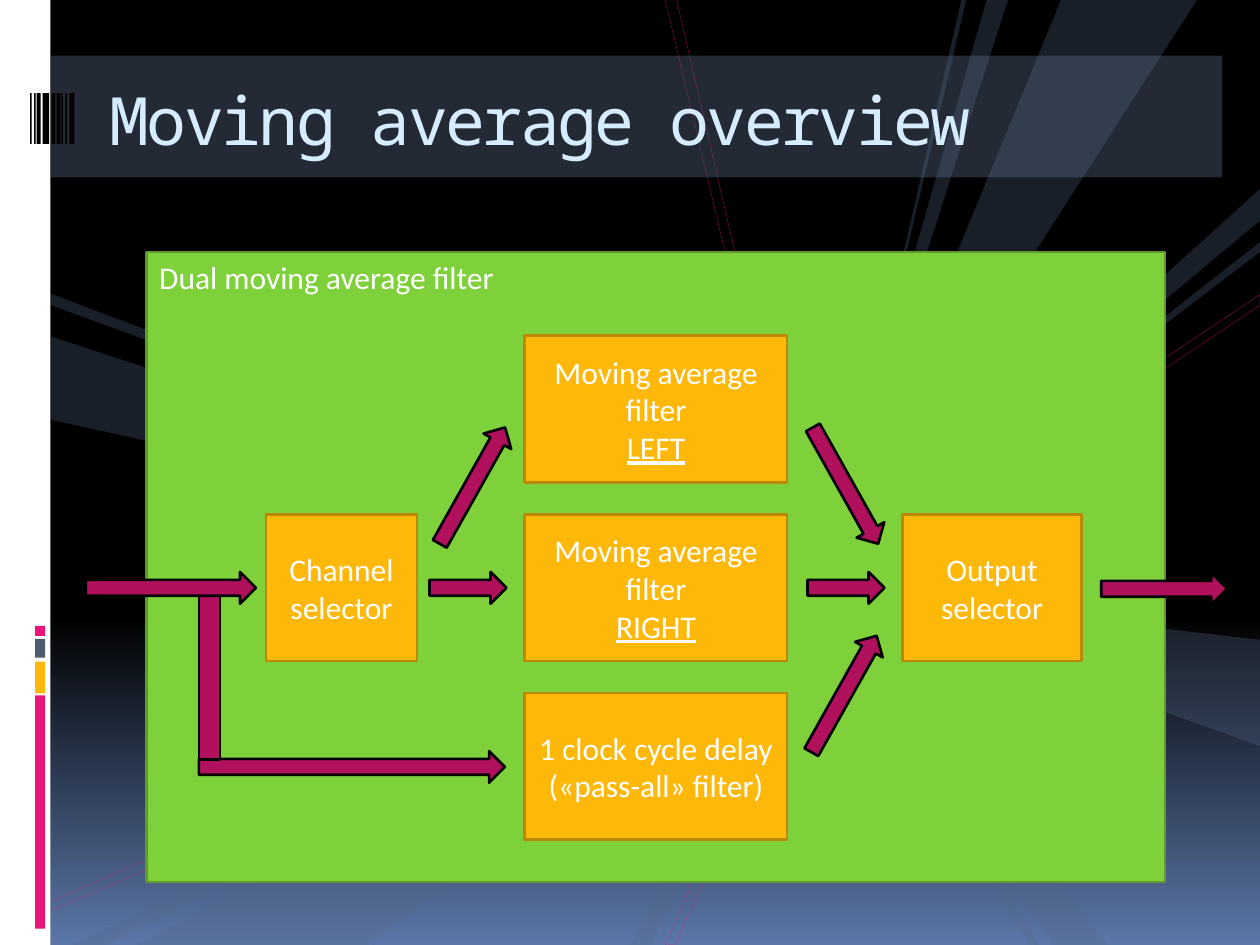
"""Build the moving average overview slide."""
import pptx
import pptx.util
import pptx.dml.color
import pptx.enum.shapes
import pptx.enum.text
import pptx.oxml
import pptx.oxml.ns

Cm, Pt = pptx.util.Cm, pptx.util.Pt
MSO = pptx.enum.shapes.MSO_SHAPE
ANCHOR = pptx.enum.text.MSO_ANCHOR
ALIGN = pptx.enum.text.PP_ALIGN
qn = pptx.oxml.ns.qn
rgb = pptx.dml.color.RGBColor.from_string


def paint(sp, fill=None, line=None, width=1.5, alpha=100):
    sp.shadow.inherit = False
    for part, color in ((sp.fill, fill), (sp.line.fill, line)):
        if color:
            part.solid()
            part.fore_color.rgb = rgb(color)
        else:
            part.background()
    if line:
        sp.line.width = Pt(width)
    if alpha < 100:
        for clr in sp._element.spPr.iter(qn("a:srgbClr")):
            clr.append(pptx.oxml.parse_xml(
                '<a:alpha xmlns:a="http://schemas.openxmlformats.org/drawingml/2006/main"'
                f' val="{alpha * 1000}"/>'))
    return sp


def write(sp, text, align, anchor, size=18, font="Calibri", color="FFFFFF"):
    tf = sp.text_frame
    tf.word_wrap = True
    tf.vertical_anchor = anchor
    tf.text = text
    for p in tf.paragraphs:
        p.alignment = align
        for r in p.runs:
            r.font.size, r.font.name = Pt(size), font
            r.font.color.rgb = rgb(color)
    return tf


prs = pptx.Presentation()
prs.slide_width, prs.slide_height = Cm(25.4), Cm(19.05)
s = prs.slides.add_slide(prs.slide_layouts[6])

bg = s.background.fill
bg.gradient()
bg.gradient_angle = 270
for stop, (pos, color) in zip(bg.gradient_stops, ((0.65, "000000"), (1, "5B77A8"))):
    stop.position = pos
    stop.color.rgb = rgb(color)

side_bars = [
    (0, 0, 1.02, 19.05, "FFFFFF"),
    (0.71, 14.02, 0.2, 4.7, "EA157A"),
    (0.71, 13.34, 0.2, 0.64, "FEB80A"),
    (0.71, 12.88, 0.2, 0.38, "4E5B6F"),
    (0.71, 12.62, 0.2, 0.2, "EA157A"),
]
for x, y, w, h, color in side_bars:
    paint(s.shapes.add_shape(MSO.RECTANGLE, Cm(x), Cm(y), Cm(w), Cm(h)), color)

beams = [
    [(13.41, 19.05), (16.56, 11.86), (25.4, 5.94), (25.4, 6.15), (16.69, 11.96), (13.61, 19.05)],
    [(1.04, 18.16), (1.04, 18.36), (16.36, 11.76), (13.64, 0), (13.41, 0), (16.18, 11.66)],
]
rays = [
    [(16.74, 11.56), (19.38, 0), (19.48, 0)],
    [(16.51, 11.86), (21.39, 0), (24.13, 0)],
    [(16.51, 11.86), (25.4, 12.9), (25.4, 15.04)],
    [(16.51, 11.86), (19.89, 0), (20.32, 0)],
    [(16.54, 11.79), (21.23, 19.05), (22.33, 19.05)],
    [(16.51, 11.86), (20.75, 19.05), (20.96, 19.05)],
    [(16.51, 11.86), (25.4, 3.81), (25.4, 4.45)],
    [(16.51, 11.86), (25.4, 4.88), (25.4, 5.08)],
    [(16.51, 11.86), (2.74, 19.05), (7.42, 19.05)],
    [(16.31, 11.86), (1.47, 19.05), (2.11, 19.05)],
    [(16.46, 11.86), (1.02, 6.78), (1.02, 8.46)],
    [(16.69, 11.86), (1.02, 5.92), (1.02, 6.15)],
    [(16.51, 11.86), (12.7, 19.05), (13.13, 19.05)],
]
for outline in beams + rays:
    points = [(Cm(x), Cm(y)) for x, y in outline]
    builder = s.shapes.build_freeform(*points[0])
    builder.add_line_segments(points[1:], close=True)
    sp = builder.convert_to_shape()
    if outline in beams:
        paint(sp, line="EA157A", width=0.25, alpha=53)
    else:
        paint(sp, "566989", alpha=30)

band = s.shapes.add_shape(MSO.RECTANGLE, Cm(1.02), Cm(1.12), Cm(23.62), Cm(2.46))
paint(band, "586A86", alpha=40)

barcode = [(0.61, 0.03), (0.69, 0.03), (0.74, 0.08), (0.86, 0.13), (1.04, 0.08),
           (1.14, 0.08), (1.24, 0.03), (1.32, 0.03), (1.4, 0.1)]
for x, w in barcode:
    paint(s.shapes.add_shape(MSO.RECTANGLE, Cm(x), Cm(1.88), Cm(w), Cm(1.02)), "000000")

title = s.shapes.add_textbox(Cm(1.96), Cm(1.42), Cm(22.66), Cm(2.16))
tf = write(title, "Moving average overview", ALIGN.LEFT, ANCHOR.TOP, 38, "Noto Sans Mono", "D6ECFF")
tf.margin_top, tf.margin_bottom = Cm(0.18), Cm(0.13)
tf.paragraphs[0].runs[0].font._element.set("spc", "-150")

panel = s.shapes.add_shape(MSO.RECTANGLE, Cm(2.96), Cm(5.08), Cm(20.53), Cm(12.7))
paint(panel, "7FD13B", "5E9B2C")
write(panel, "Dual moving average filter", ALIGN.LEFT, ANCHOR.TOP)

blocks = [
    (10.58, 0, 5.29, "Moving average filter\nLEFT"),
    (10.58, 1, 5.29, "Moving average filter\nRIGHT"),
    (10.58, 2, 5.29, "1 clock cycle delay\n(«pass-all» filter)"),
    (5.36, 1, 3.05, "Channel\nselector"),
    (18.2, 1, 3.6, "Output selector"),
]
for x, row, w, text in blocks:
    sp = s.shapes.add_shape(MSO.RECTANGLE, Cm(x), Cm(6.77 + 3.6 * row), Cm(w), Cm(2.96))
    paint(sp, "FEB80A", "BC8807")
    tf = write(sp, text, ALIGN.CENTER, ANCHOR.MIDDLE)
    if text.startswith("Moving"):
        tf.paragraphs[1].runs[0].font.underline = True

arrows = [
    (MSO.RIGHT_ARROW, 22.2, 11.55, 2.54, 0.64, 0),
    (MSO.RIGHT_ARROW, 8.66, 11.53, 1.55, 0.64, 0),
    (MSO.RIGHT_ARROW, 8.18, 9.47, 2.69, 0.64, 299.3),
    (MSO.RIGHT_ARROW, 16.28, 11.53, 1.55, 0.64, 0),
    (MSO.RIGHT_ARROW, 15.7, 9.47, 2.69, 0.64, 60.7),
    (MSO.RIGHT_ARROW, 15.67, 13.67, 2.69, 0.64, 299.3),
    (MSO.RIGHT_ARROW, 4.01, 15.14, 6.17, 0.64, 0),
    (MSO.RECTANGLE, 4.01, 11.86, 0.43, 3.45, 0),
    (MSO.RIGHT_ARROW, 1.73, 11.53, 3.43, 0.64, 0),
]
for kind, x, y, w, h, angle in arrows:
    sp = paint(s.shapes.add_shape(kind, Cm(x), Cm(y), Cm(w), Cm(h)), "B0105C", "000000")
    sp.rotation = angle

prs.save("out.pptx")
